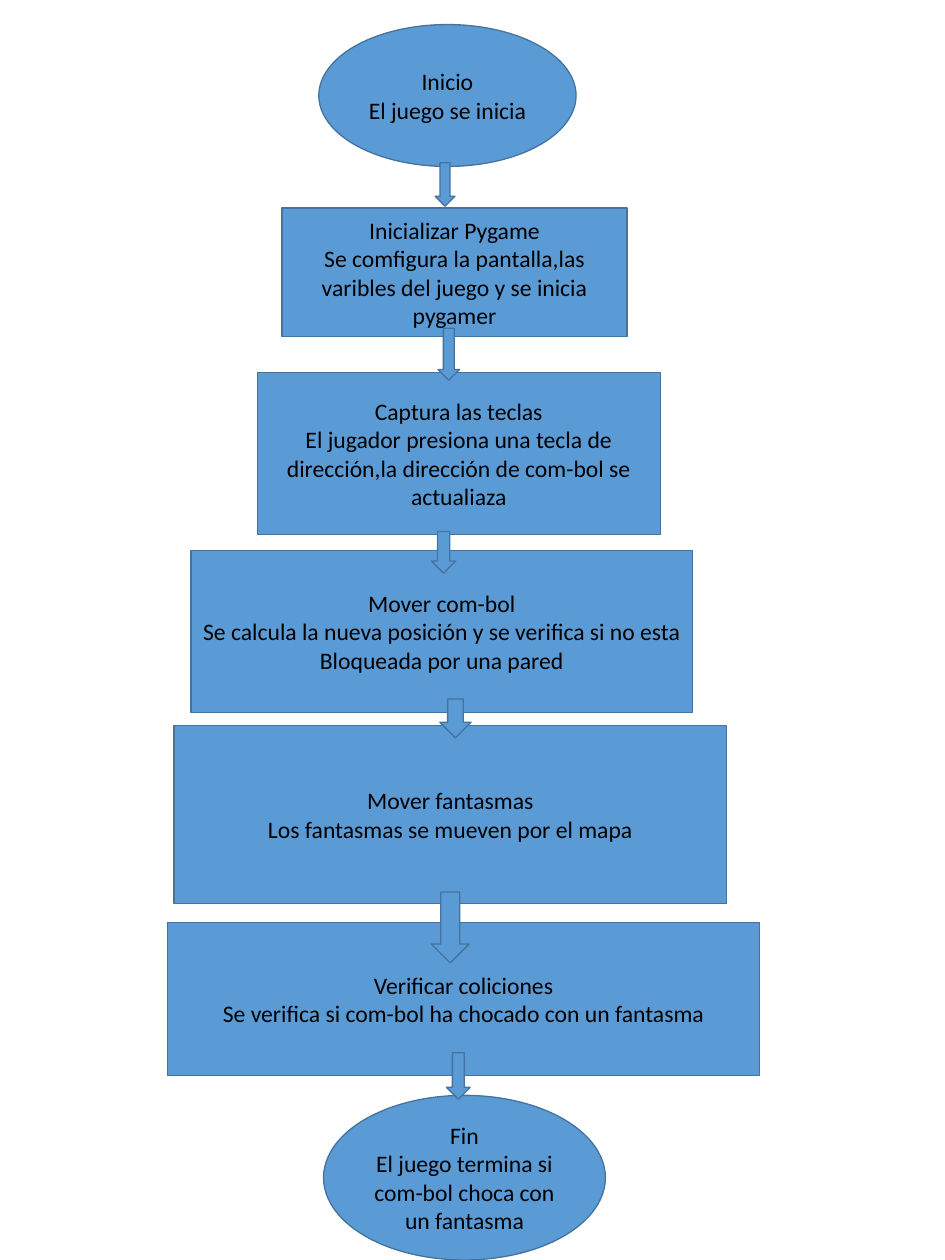
from pptx import Presentation
from pptx.dml.color import RGBColor
from pptx.enum.shapes import MSO_SHAPE
from pptx.enum.text import MSO_ANCHOR, PP_ALIGN
from pptx.util import Inches, Pt

OVAL, BOX, ARROW = MSO_SHAPE.OVAL, MSO_SHAPE.RECTANGLE, MSO_SHAPE.DOWN_ARROW
MIDDLE, CENTER = MSO_ANCHOR.MIDDLE, PP_ALIGN.CENTER

THEME = {
    "fill": RGBColor(0x5B, 0x9B, 0xD5),
    "line": RGBColor(0x43, 0x73, 0x9E),
    "line_width": Pt(1),
    "font": {"name": "Calibri", "size": Pt(18)},
    "text": RGBColor(0, 0, 0),
}

# Shape, (left, top, width, height), paragraphs
STEPS = [
    (OVAL, (3.37, 0.26, 2.72, 1.5), ["Inicio", "El juego se inicia"]),
    (BOX, (2.98, 2.2, 3.65, 1.36), [
        "Inicializar Pygame",
        "Se comfigura la pantalla,las varibles del juego y se inicia pygamer"]),
    (BOX, (2.72, 3.94, 4.26, 1.71), [
        "Captura las teclas",
        "El jugador presiona una tecla de dirección,la dirección de com-bol se actualiaza"]),
    (BOX, (2.02, 5.82, 5.3, 1.71), [
        "Mover com-bol",
        "Se calcula la nueva posición y se verifica si no esta",
        "Bloqueada por una pared"]),
    (BOX, (1.84, 7.67, 5.84, 1.88), [
        "Mover fantasmas", "Los fantasmas se mueven por el mapa"]),
    (BOX, (1.77, 9.75, 6.26, 1.62), [
        "Verificar coliciones", "Se verifica si com-bol ha chocado con un fantasma"]),
    (OVAL, (3.42, 11.58, 2.98, 1.74), [
        "Fin", "El juego termina si com-bol choca con un fantasma"]),
]

ARROWS = [
    (4.6, 1.72, 0.21, 0.46),
    (4.63, 3.47, 0.23, 0.55),
    (4.56, 5.62, 0.26, 0.44),
    (4.65, 7.39, 0.33, 0.41),
    (4.56, 9.43, 0.4, 0.75),
    (4.72, 11.13, 0.25, 0.49),
]

prs = Presentation()
prs.slide_width, prs.slide_height = Inches(9.99), Inches(13.32)
s = prs.slides.add_slide(prs.slide_layouts[6])


def add_flat_shape(kind, box):
    sp = s.shapes.add_shape(kind, *map(Inches, box))
    sp.shadow.inherit = False
    sp.fill.solid()
    sp.fill.fore_color.rgb = THEME["fill"]
    sp.line.color.rgb = THEME["line"]
    sp.line.width = THEME["line_width"]
    return sp


for kind, box, lines in STEPS:
    tf = add_flat_shape(kind, box).text_frame
    tf.word_wrap = True
    tf.vertical_anchor = MIDDLE
    for i, line in enumerate(lines):
        p = tf.add_paragraph() if i else tf.paragraphs[0]
        p.alignment = CENTER
        r = p.add_run()
        r.text = line
        for name, value in THEME["font"].items():
            setattr(r.font, name, value)
        r.font.color.rgb = THEME["text"]

for box in ARROWS:
    add_flat_shape(ARROW, box)

prs.save("out.pptx")
